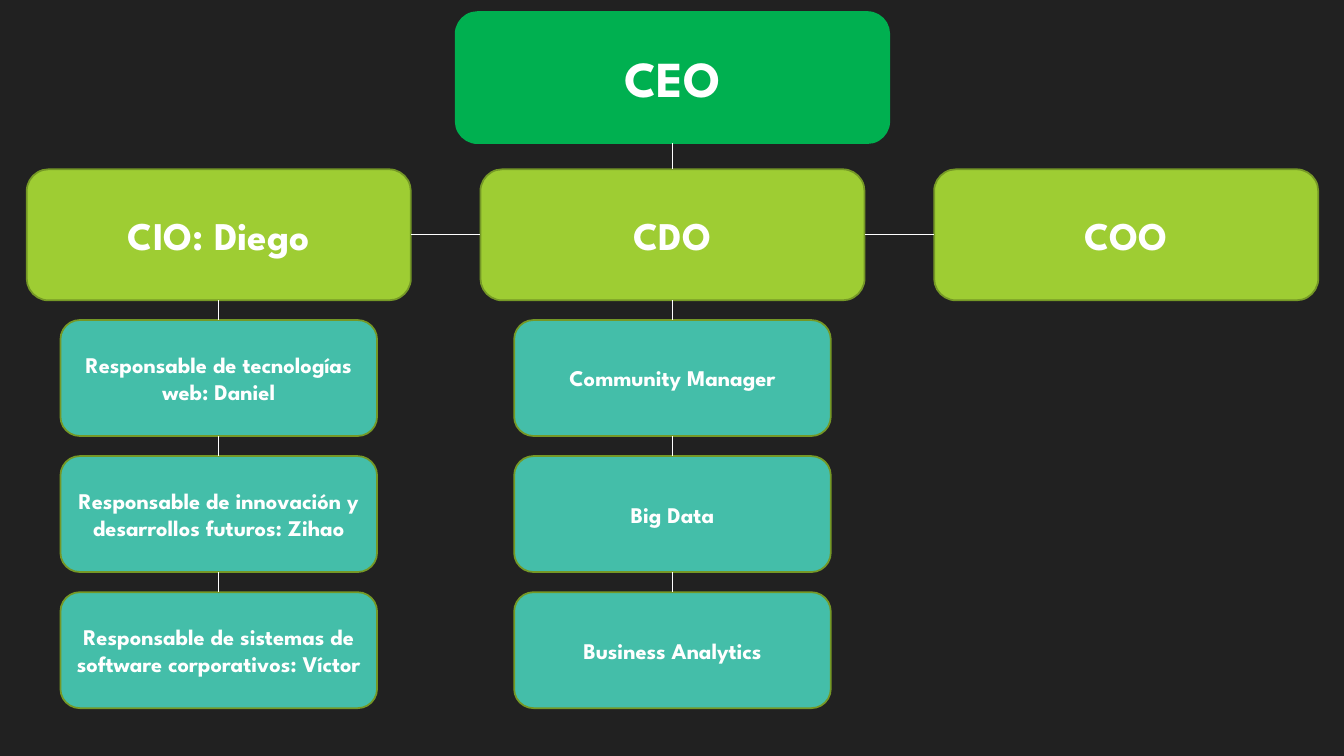
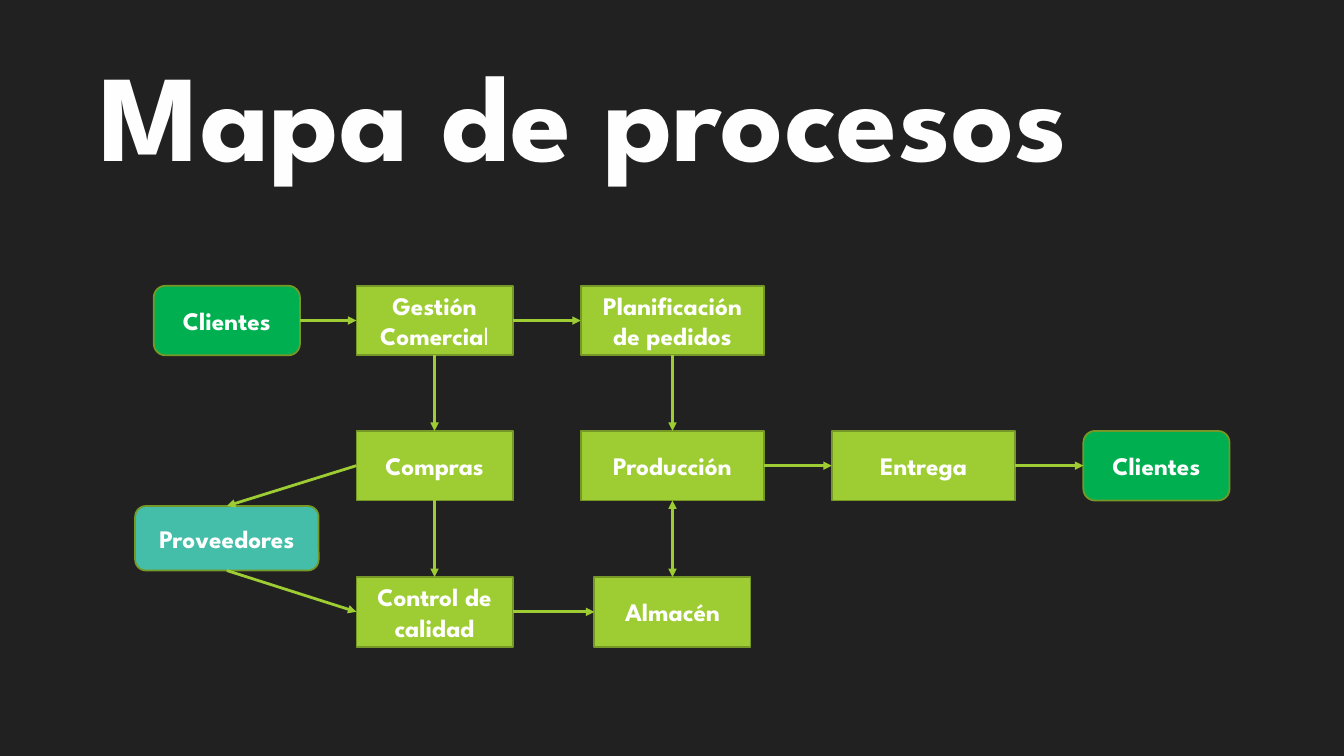
from itertools import pairwise

from lxml import etree
from pptx import Presentation
from pptx import util as u
from pptx.dml.color import RGBColor
from pptx.enum import shapes, text
from pptx.oxml.ns import qn

TOP, LEFT, BOTTOM, RIGHT = range(4)


class Deck:
    colors = {
        "background": "212121",
        "white": "FFFFFF",
        "title": "FEFEFE",
        "green": "00B050",
        "lime": "9ECD33",
        "olive": "759826",
        "teal": "44BEA9",
    }
    font = "League Spartan"

    def __init__(self):
        self.presentation = Presentation()
        self.presentation.slide_width = u.Inches(13.33)
        self.presentation.slide_height = u.Inches(7.5)
        self.slide = None

    def color(self, name):
        return RGBColor.from_string(self.colors[name])

    def add_slide(self):
        self.slide = self.presentation.slides.add_slide(self.presentation.slide_layouts[6])
        fill = self.slide.background.fill
        fill.solid()
        fill.fore_color.rgb = self.color("background")

    def add_run(self, paragraph, words, size, color="white", bold=True):
        run = paragraph.add_run()
        run.text = words
        run.font.name = self.font
        run.font.size = u.Pt(size)
        run.font.bold = bold
        run.font.color.rgb = self.color(color)

    def add_title(self, words):
        box = self.slide.shapes.add_textbox(
            u.Inches(0.89), u.Inches(0.33), u.Inches(11.56), u.Inches(1.06))
        box.text_frame.word_wrap = True
        self.add_run(box.text_frame.paragraphs[0], words, 88, "title")

    def add_box(self, words, center, size, fill, font_size, rounded=True, line="olive", light=""):
        (x, y), (width, height) = center, size
        kind = shapes.MSO_SHAPE.ROUNDED_RECTANGLE if rounded else shapes.MSO_SHAPE.RECTANGLE
        shape = self.slide.shapes.add_shape(
            kind, u.Inches(x - width / 2), u.Inches(y - height / 2),
            u.Inches(width), u.Inches(height))
        shape.shadow.inherit = False
        shape.fill.solid()
        shape.fill.fore_color.rgb = self.color(fill)
        shape.line.color.rgb = self.color(line)
        shape.line.width = u.Pt(1.25)
        frame = shape.text_frame
        frame.word_wrap = True
        frame.vertical_anchor = text.MSO_ANCHOR.MIDDLE
        paragraph = frame.paragraphs[0]
        paragraph.alignment = text.PP_ALIGN.CENTER
        self.add_run(paragraph, words, font_size)
        if light:
            self.add_run(paragraph, light, font_size, bold=False)
        return shape

    def add_link(self, start, start_side, end, end_side, color="white", width=0.75, arrows=()):
        connector = self.slide.shapes.add_connector(shapes.MSO_CONNECTOR.STRAIGHT, 0, 0, 0, 0)
        connector.begin_connect(start, start_side)
        connector.end_connect(end, end_side)
        connector.line.color.rgb = self.color(color)
        connector.line.width = u.Pt(width)
        properties = connector._element.spPr
        outline = properties.find(qn("a:ln"))
        for arrow in arrows:
            etree.SubElement(outline, qn(f"a:{arrow}")).set("type", "triangle")
        etree.SubElement(properties, qn("a:effectLst"))

    def add_arrow(self, start, start_side, end, end_side, both=False):
        arrows = ("headEnd", "tailEnd") if both else ("tailEnd",)
        self.add_link(start, start_side, end, end_side, "lime", 2, arrows)


def build_organization(deck):
    deck.add_slide()
    ceo = deck.add_box("CEO", (6.67, 0.77), (4.3, 1.3), "green", 36, line="green")
    branches = [
        ("CIO: Diego", [
            "Responsable de tecnologías web: Daniel",
            "Responsable de innovación y desarrollos futuros: Zihao",
            "Responsable de sistemas de software corporativos: Víctor",
        ]),
        ("CDO", ["Community Manager", "Big Data", "Business Analytics"]),
        ("COO", []),
    ]
    chiefs = []
    for column, (chief, team) in enumerate(branches):
        x = 2.17 + 4.5 * column
        chain = [deck.add_box(chief, (x, 2.33), (3.81, 1.3), "lime", 28)]
        for row, role in enumerate(team):
            chain.append(deck.add_box(role, (x, 3.75 + 1.35 * row), (3.14, 1.15), "teal", 16))
        for upper, lower in pairwise(chain):
            deck.add_link(upper, BOTTOM, lower, TOP)
        chiefs.append(chain[0])
    deck.add_link(ceo, BOTTOM, chiefs[1], TOP)
    for left, right in pairwise(chiefs):
        deck.add_link(left, RIGHT, right, LEFT)


def build_process_map(deck):
    deck.add_slide()
    deck.add_title("Mapa de procesos")
    columns = [2.25, 4.31, 6.67, 9.16, 11.47]
    rows = [3.18, 4.62, 6.07]

    def step(words, column, row, width, light=""):
        return deck.add_box(words, (columns[column], rows[row]), (width, 0.69),
                            "lime", 18, rounded=False, light=light)

    def customers(column, row):
        return deck.add_box("Clientes", (columns[column], rows[row]), (1.45, 0.69), "green", 18)

    ordering = customers(0, 0)
    sales = step("Gestión Comercia", 1, 0, 1.55, "l")
    planning = step("Planificación de pedidos", 2, 0, 1.82)
    purchasing = step("Compras", 1, 1, 1.55)
    production = step("Producción", 2, 1, 1.82)
    delivery = step("Entrega", 3, 1, 1.82)
    receiving = customers(4, 1)
    quality = step("Control de calidad", 1, 2, 1.55)
    warehouse = step("Almacén", 2, 2, 1.55)
    suppliers = deck.add_box("Proveedores", (columns[0], 5.34), (1.82, 0.64), "teal", 18)

    for chain in ([ordering, sales, planning], [production, delivery, receiving],
                  [quality, warehouse]):
        for left, right in pairwise(chain):
            deck.add_arrow(left, RIGHT, right, LEFT)
    for chain in ([sales, purchasing, quality], [planning, production]):
        for upper, lower in pairwise(chain):
            deck.add_arrow(upper, BOTTOM, lower, TOP)
    deck.add_arrow(warehouse, TOP, production, BOTTOM, both=True)
    deck.add_arrow(purchasing, LEFT, suppliers, TOP)
    deck.add_arrow(suppliers, BOTTOM, quality, LEFT)


def main():
    deck = Deck()
    build_organization(deck)
    build_process_map(deck)
    deck.presentation.save("out.pptx")


if __name__ == "__main__":
    main()
